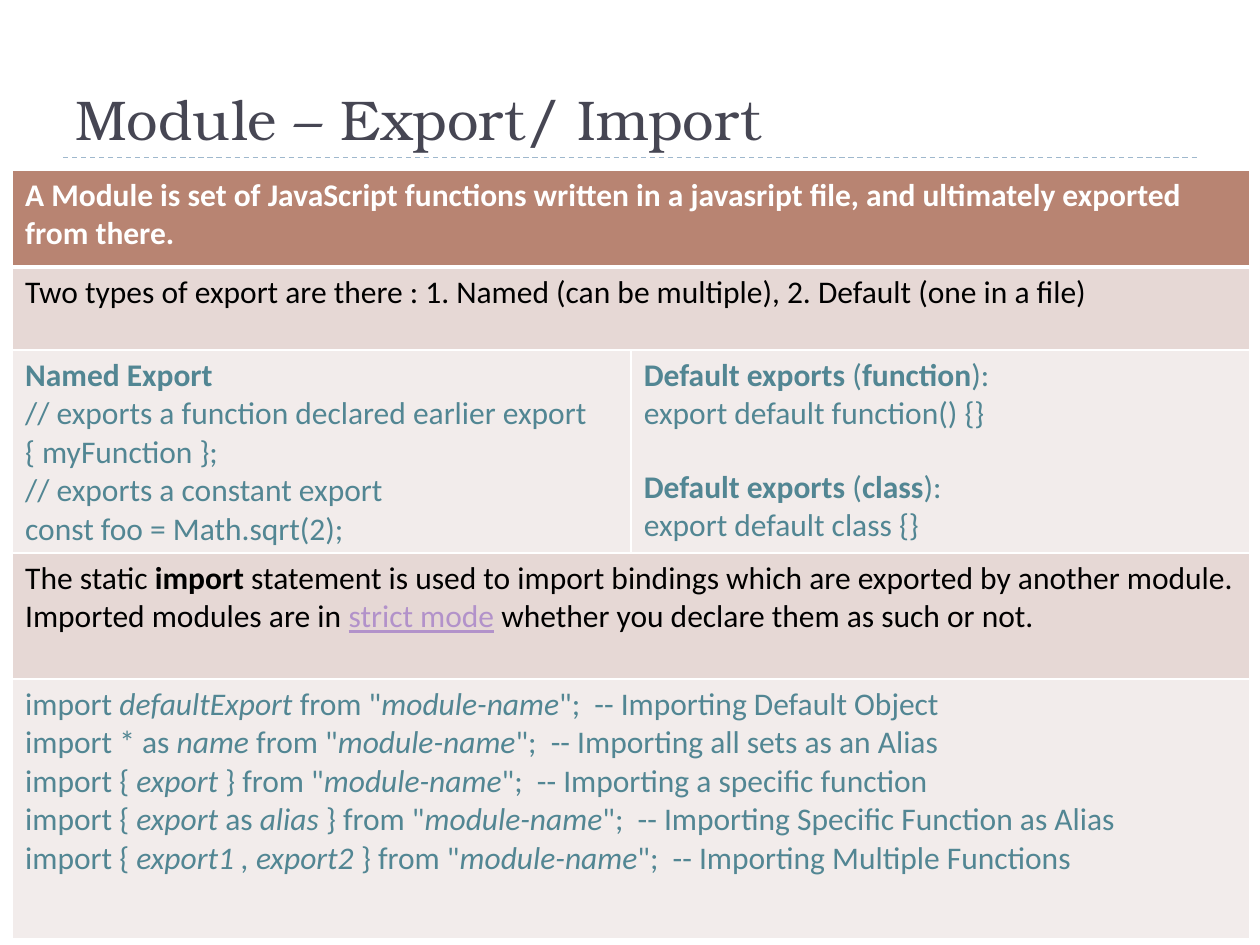
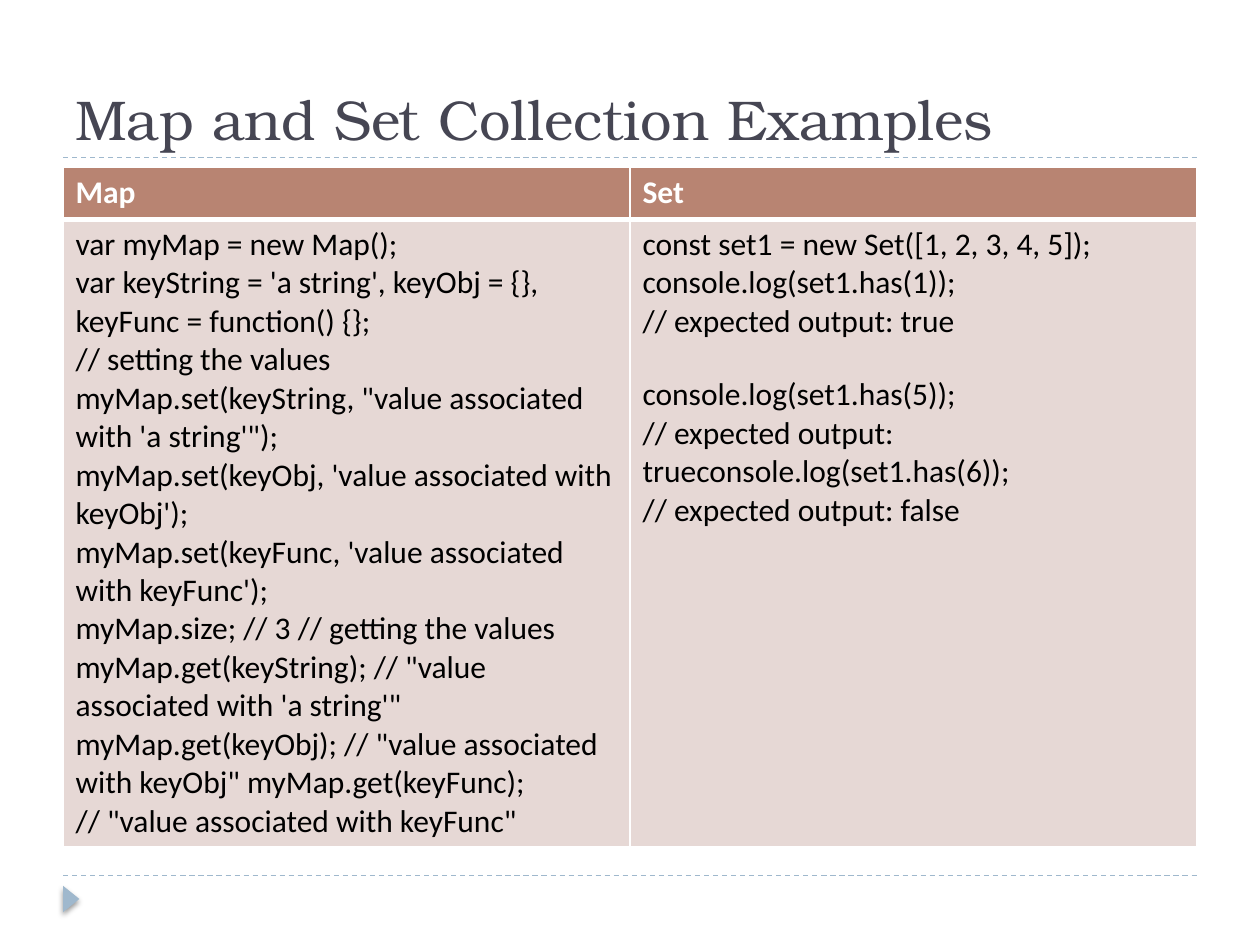
from itertools import cycle

from lxml import etree
from pptx import Presentation
from pptx import util as u
from pptx.dml.color import RGBColor
from pptx.enum import dml, shapes, text
from pptx.oxml.ns import qn

PX = u.Inches(1) // 100  # 100 px to the inch

TITLE_FONT, BODY_FONT = "TeX Gyre Bonum", "Calibri"
WHITE, BLACK = "FFFFFF", "000000"
SLATE, MIST = "464653", "9FB8CD"
CLAY, ROSE, PALE = "B88472", "E6D8D5", "F2ECEB"
TEAL, LILAC = "528693", "B292CA"
THIN, THICK = u.Pt(0.96), u.Pt(3)

color = RGBColor.from_string


def write_cell(cell, fill, font_color, lines, emphasis=("bold",), gap_before=None):
    """Fill a cell; text between bars takes the emphasis styles in turn."""
    cell.fill.solid()
    cell.fill.fore_color.rgb = color(fill)
    styles = cycle(emphasis)
    for number, line in enumerate(lines):
        frame = cell.text_frame
        paragraph = frame.add_paragraph() if number else frame.paragraphs[0]
        if number == gap_before:
            paragraph.space_before = u.Pt(20)
        for part, words in enumerate(line.split("|")):
            if not words:
                continue
            style = next(styles) if part % 2 else None
            run = paragraph.add_run()
            run.text = words
            font = run.font
            font.name, font.size = BODY_FONT, u.Pt(18)
            font.bold = style == "bold"
            font.italic = style == "italic"
            font.underline = style == "underline"
            font.color.rgb = color(LILAC if style == "underline" else font_color)


def draw_borders(cell, top, bottom):
    properties = cell._tc.get_or_add_tcPr()
    for side, width in (("L", THIN), ("R", THIN), ("T", top), ("B", bottom)):
        border = etree.SubElement(properties, qn(f"a:ln{side}"), w=str(int(width)))
        solid = etree.SubElement(border, qn("a:solidFill"))
        etree.SubElement(solid, qn("a:srgbClr"), val=WHITE)


# Each cell: row, column, columns spanned, then the arguments of write_cell
module_cells = [
    (0, 0, 2, CLAY, WHITE, [
        "|A Module is set of JavaScript functions written in a javasript file, "
        "and ultimately exported from there."]),
    (1, 0, 2, ROSE, BLACK, [
        "Two types of export are there : 1. Named (can be multiple), 2. Default (one in a file)"]),
    (2, 0, 1, PALE, TEAL, [
        "|Named Export",
        "// exports a function declared earlier export { myFunction };",
        "// exports a constant export",
        "const foo = Math.sqrt(2);"]),
    (2, 1, 1, PALE, TEAL, [
        "|Default exports |(|function|):",
        "export default function() {}",
        "|Default exports| (|class|):",
        "export default class {}"], ("bold",), 2),
    (3, 0, 2, ROSE, BLACK, [
        "The static |import| statement is used to import bindings which are exported by "
        "another module. Imported modules are in |strict mode| whether you declare them "
        "as such or not."], ("bold", "underline")),
    (4, 0, 2, PALE, TEAL, [
        f'import {names} from "|module-name|";  -- Importing {purpose}'
        for names, purpose in (
            ("|defaultExport|", "Default Object"),
            ("* as |name|", "all sets as an Alias"),
            ("{ |export |}", "a specific function"),
            ("{ |export| as |alias |}", "Specific Function as Alias"),
            ("{ |export1 , export2| }", "Multiple Functions"))], ("italic",)),
]
collection_cells = [
    (0, 0, 1, CLAY, WHITE, ["|Map"]),
    (0, 1, 1, CLAY, WHITE, ["|Set"]),
    (1, 0, 1, ROSE, BLACK, [
        "var myMap = new Map();",
        "var keyString = 'a string', keyObj = {}, keyFunc = function() {};",
        "// setting the values",
        "myMap.set(keyString, \"value associated with 'a string'\");",
        "myMap.set(keyObj, 'value associated with keyObj');",
        "myMap.set(keyFunc, 'value associated with keyFunc');",
        "myMap.size; // 3 // getting the values myMap.get(keyString); "
        "// \"value associated with 'a string'\"",
        'myMap.get(keyObj); // "value associated with keyObj" myMap.get(keyFunc);',
        '// "value associated with keyFunc"']),
    (1, 1, 1, ROSE, BLACK, [
        "const set1 = new Set([1, 2, 3, 4, 5]);",
        "console.log(set1.has(1));",
        "// expected output: true",
        "console.log(set1.has(5));",
        "// expected output: trueconsole.log(set1.has(6));",
        "// expected output: false"], ("bold",), 3),
]
# Title, table left, top and width, row heights, cells
pages = [
    ("Module – Export/ Import", 10, 135, 982, [77, 66, 161, 100, 206], module_cells),
    ("Map and Set Collection Examples", 50, 133, 900, [41, 498], collection_cells),
]

presentation = Presentation()
presentation.slide_width, presentation.slide_height = 1000 * PX, 750 * PX

for title, left, top, width, row_heights, cells in pages:
    slide = presentation.slides.add_slide(presentation.slide_layouts[6])

    for y in (695, 125):
        rule = slide.shapes.add_connector(
            shapes.MSO_CONNECTOR.STRAIGHT, 50 * PX, y * PX, 950 * PX, y * PX)
        rule.line.color.rgb = color(MIST)
        rule.line.width = u.Pt(0.75)
        rule.line.dash_style = dml.MSO_LINE.DASH
        etree.SubElement(rule._element.spPr, qn("a:effectLst"))

    marker = slide.shapes.add_shape(
        shapes.MSO_SHAPE.ISOSCELES_TRIANGLE, 46 * PX, 707 * PX, 21 * PX, 13 * PX)
    marker.rotation = 90
    marker.fill.solid()
    marker.fill.fore_color.rgb = color(MIST)
    marker.line.fill.background()
    marker.shadow.inherit = False
    shadow = etree.SubElement(
        marker._element.spPr.find(qn("a:effectLst")), qn("a:outerShdw"),
        blurRad=str(int(u.Pt(3))), dist=str(int(u.Pt(2))), dir="5400000", rotWithShape="0")
    shade = etree.SubElement(shadow, qn("a:srgbClr"), val=BLACK)
    etree.SubElement(shade, qn("a:alpha"), val="40000")

    title_box = slide.shapes.add_textbox(50 * PX, 17 * PX, 900 * PX, 108 * PX)
    title_box.text_frame.word_wrap = True
    title_box.text_frame.vertical_anchor = text.MSO_ANCHOR.BOTTOM
    run = title_box.text_frame.paragraphs[0].add_run()
    run.text = title
    run.font.name, run.font.size = TITLE_FONT, u.Pt(32)
    run.font.color.rgb = color(SLATE)

    table = slide.shapes.add_table(
        len(row_heights), 2, left * PX, top * PX, width * PX, sum(row_heights) * PX).table
    table.horz_banding = False
    for column in table.columns:
        column.width = width * PX // 2
    for number, (row, height) in enumerate(zip(table.rows, row_heights)):
        row.height = height * PX
        for cell in row.cells:
            draw_borders(cell, THICK if number == 1 else THIN, THICK if number == 0 else THIN)
    for row, column, span, *content in cells:
        cell = table.cell(row, column)
        if span > 1:
            cell.merge(table.cell(row, column + span - 1))
        write_cell(cell, *content)

presentation.save("out.pptx")
